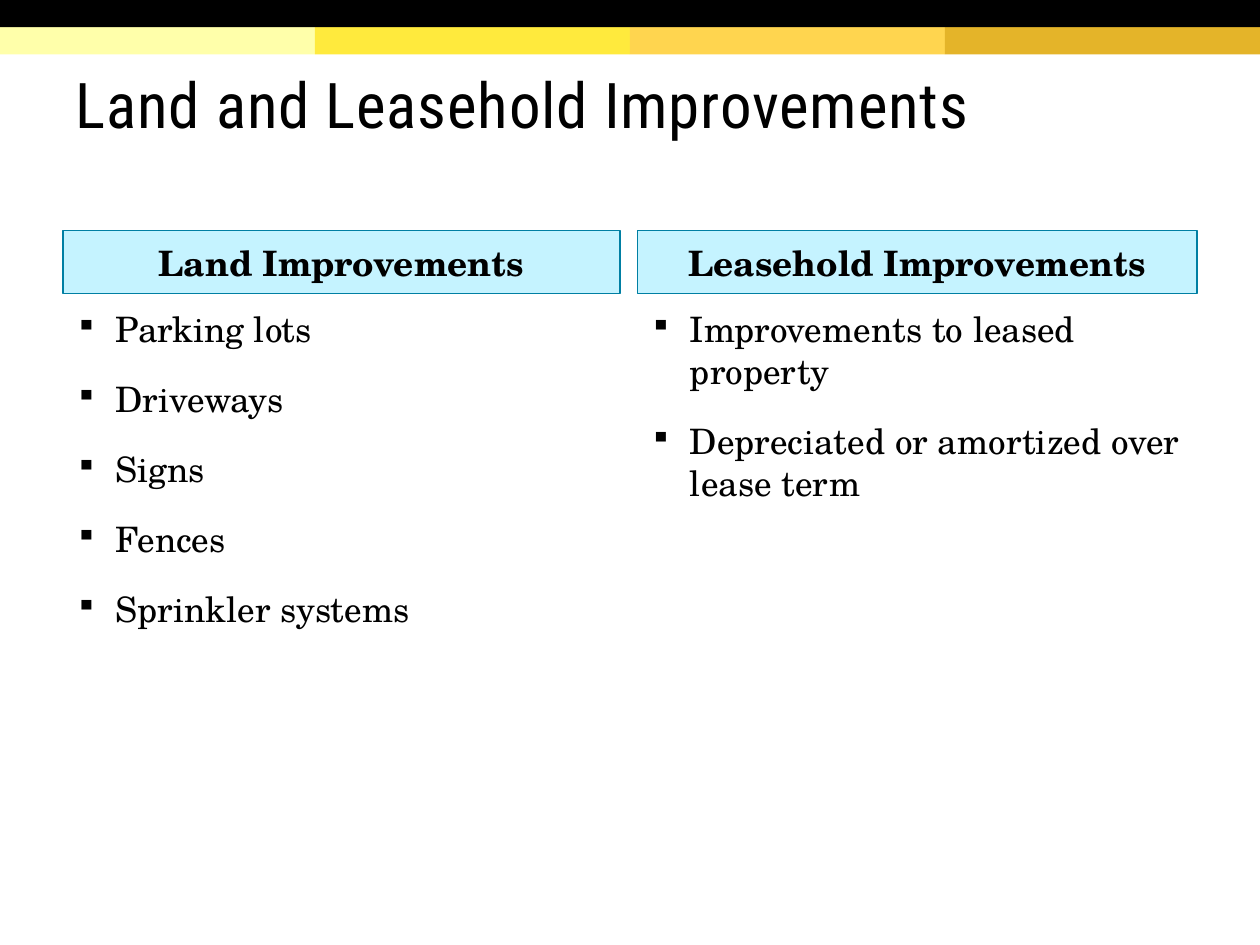
import pptx
import pptx.dml.color
import pptx.enum.shapes
import pptx.enum.text
import pptx.oxml.ns
import pptx.util
from lxml import etree
from pptx.util import Cm

COLOURS = {
    "black": "000000",
    "pale yellow": "FFFFAA",
    "yellow": "FFEA3D",
    "amber": "FFD54F",
    "gold": "E4B429",
    "header fill": "C5F3FF",
    "header line": "007FA3",
}
TITLE_FONT = "Roboto Condensed"
BODY_FONT = "TeX Gyre Schola"
STRIPES = ["pale yellow", "yellow", "amber", "gold"]
COLUMNS = [
    (1.27, 11.23, "Land Improvements",
     ["Parking lots", "Driveways", "Signs", "Fences", "Sprinkler systems"]),
    (12.85, 11.28, "Leasehold Improvements",
     ["Improvements to leased property",
      "Depreciated or amortized over lease term"]),
]


def colour(name):
    return pptx.dml.color.RGBColor.from_string(COLOURS[name])


def add_span(para, text, font, size, bold=False):
    span = para.add_run()
    span.text = text
    span.font.name = font
    span.font.size = pptx.util.Pt(size)
    span.font.bold = bold
    span.font.color.rgb = colour("black")
    return span


def add_rectangle(page, left, top, width, height, fill, line=None):
    shape = page.shapes.add_shape(
        pptx.enum.shapes.MSO_SHAPE.RECTANGLE, left, top, width, height)
    shape.shadow.inherit = False
    shape.fill.solid()
    shape.fill.fore_color.rgb = colour(fill)
    if line:
        shape.line.color.rgb = colour(line)
        shape.line.width = pptx.util.Pt(0.75)
    else:
        shape.line.fill.background()
    return shape


def add_banner(page, left, top, width, height):
    """Black bar above a row of equal colour stripes."""
    half = height // 2
    stripe_width = width // len(STRIPES)
    for index, name in enumerate(STRIPES):
        add_rectangle(page, left + index * stripe_width, top + half,
                      stripe_width, half, name)
    add_rectangle(page, left, top, width, half, "black")


def set_title(page, left, top, width, height, text):
    title = page.shapes.title
    title.left, title.top, title.width, title.height = left, top, width, height
    frame = title.text_frame
    frame.auto_size = pptx.enum.text.MSO_AUTO_SIZE.NONE
    frame.vertical_anchor = pptx.enum.text.MSO_ANCHOR.MIDDLE
    frame.margin_top = Cm(0.25)
    para = frame.paragraphs[0]
    para.alignment = pptx.enum.text.PP_ALIGN.LEFT
    para.line_spacing = 0.85
    span = add_span(para, text, TITLE_FONT, 36)
    span.font._element.set("spc", "50")


def add_bullet(para):
    props = para._p.get_or_add_pPr()
    props.set("marL", str(Cm(0.81)))
    props.set("indent", str(-Cm(0.81)))
    tag = pptx.oxml.ns.qn
    bullet_colour = etree.SubElement(props, tag("a:buClr"))
    etree.SubElement(bullet_colour, tag("a:srgbClr"), val=COLOURS["black"])
    etree.SubElement(props, tag("a:buSzPct"), val="85000")
    etree.SubElement(props, tag("a:buChar"), char="▪")


def add_column(page, left, top, width, height, heading, items):
    """Heading bar with a bulleted list below it."""
    header_height, gap = Cm(1.27), Cm(0.15)
    header = add_rectangle(page, left, top, width, header_height,
                           "header fill", "header line")
    header.text_frame.vertical_anchor = pptx.enum.text.MSO_ANCHOR.MIDDLE
    para = header.text_frame.paragraphs[0]
    para.alignment = pptx.enum.text.PP_ALIGN.CENTER
    add_span(para, heading, BODY_FONT, 20, bold=True)

    offset = header_height + gap
    box = page.shapes.add_textbox(left, top + offset, width, height - offset)
    frame = box.text_frame
    frame.word_wrap = True
    for index, item in enumerate(items):
        para = frame.add_paragraph() if index else frame.paragraphs[0]
        add_bullet(para)
        para.space_before = pptx.util.Pt(8 if index else 0)
        para.space_after = pptx.util.Pt(8)
        add_span(para, item, BODY_FONT, 20)


def main():
    deck = pptx.Presentation()
    deck.slide_width, deck.slide_height = Cm(25.4), Cm(19.05)
    page = deck.slides.add_slide(deck.slide_layouts.get_by_name("Title Only"))
    add_banner(page, 0, 0, deck.slide_width, Cm(1.1))
    set_title(page, Cm(1.27), Cm(0.61), Cm(22.86), Cm(3.05),
              "Land and Leasehold Improvements")
    for left, width, heading, items in COLUMNS:
        add_column(page, Cm(left), Cm(4.65), Cm(width), Cm(11.66),
                   heading, items)
    deck.save("out.pptx")


if __name__ == "__main__":
    main()
